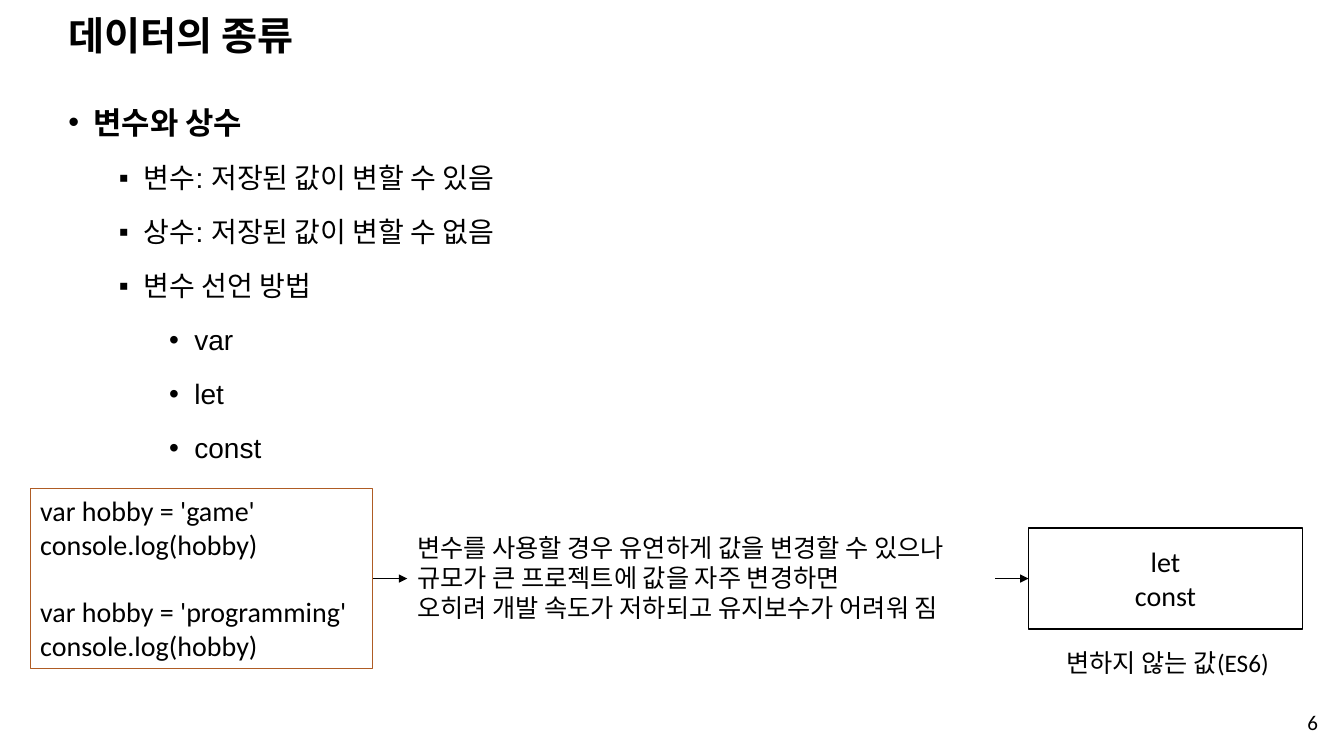
from dataclasses import dataclass
from lxml.etree import SubElement
from pptx import Presentation
from pptx.dml.color import RGBColor
from pptx.enum.shapes import MSO_CONNECTOR, MSO_SHAPE
from pptx.enum.text import MSO_ANCHOR, MSO_AUTO_SIZE, PP_ALIGN
from pptx.oxml.ns import qn
from pptx.util import Inches, Pt


@dataclass(frozen=True)
class Theme:
    ink: RGBColor = RGBColor(0, 0, 0)
    rust: RGBColor = RGBColor(0xAF, 0x5C, 0x24)
    head: str = "Arial"
    text: str = "Calibri"
    title: int = 28
    topic: int = 22
    item: int = 20
    note: int = 18
    page: int = 15


THEME = Theme()
LEVELS = (
    ("•", THEME.topic, True, 10),
    ("▪", THEME.item, False, 5),
    ("•", THEME.item, False, 5),
)
TOPICS = (
    (0, "변수와 상수"),
    (1, "변수: 저장된 값이 변할 수 있음"),
    (1, "상수: 저장된 값이 변할 수 없음"),
    (1, "변수 선언 방법"),
    (2, "var"),
    (2, "let"),
    (2, "const"),
)
CODE = (
    "var hobby = 'game'",
    "console.log(hobby)",
    "var hobby = 'programming'",
    "console.log(hobby)",
)
REASON = (
    "변수를 사용할 경우 유연하게 값을 변경할 수 있으나",
    "규모가 큰 프로젝트에 값을 자주 변경하면",
    "오히려 개발 속도가 저하되고 유지보수가 어려워 짐",
)
MID = 5.74


def area(*box):
    return [Inches(n) for n in box]


def add_run(para, text, size, font=THEME.text, bold=False):
    run = para.add_run()
    run.text = text
    run.font.name = font
    run.font.size = Pt(size)
    run.font.bold = bold
    run.font.color.rgb = THEME.ink


def add_lines(frame, lines, size, align=PP_ALIGN.LEFT):
    for num, line in enumerate(lines):
        para = frame.add_paragraph() if num else frame.paragraphs[0]
        para.alignment = align
        add_run(para, line, size)


def add_title(slide, text, box):
    title = slide.shapes.title
    title.left, title.top, title.width, title.height = area(*box)
    frame = title.text_frame
    frame.auto_size = MSO_AUTO_SIZE.NONE
    frame.vertical_anchor = MSO_ANCHOR.MIDDLE
    para = frame.paragraphs[0]
    para.alignment = PP_ALIGN.LEFT
    para.line_spacing = 0.9
    add_run(para, text, THEME.title, THEME.head, True)


def add_list(slide, items, box):
    frame = slide.shapes.add_textbox(*area(*box)).text_frame
    frame.word_wrap = True
    for num, (level, text) in enumerate(items):
        mark, size, bold, gap = LEVELS[level]
        para = frame.add_paragraph() if num else frame.paragraphs[0]
        para.level = level
        para.line_spacing = 1.4
        para.space_before = Pt(gap)
        props = para._p.get_or_add_pPr()
        props.set("marL", str(Inches(0.25 + 0.5 * level)))
        props.set("indent", str(Inches(-0.25)))
        SubElement(props, qn("a:buFont")).set("typeface", THEME.head)
        SubElement(props, qn("a:buChar")).set("char", mark)
        add_run(para, text, size, THEME.head, bold)


def add_note(slide, lines, box, size, align=PP_ALIGN.LEFT, anchor=MSO_ANCHOR.TOP):
    frame = slide.shapes.add_textbox(*area(*box)).text_frame
    frame.word_wrap = False
    frame.vertical_anchor = anchor
    add_lines(frame, lines, size, align)


def add_box(slide, lines, box, line, width, align, anchor):
    shape = slide.shapes.add_shape(MSO_SHAPE.RECTANGLE, *area(*box))
    shape.shadow.inherit = False
    shape.fill.background()
    shape.line.color.rgb = line
    shape.line.width = Pt(width)
    frame = shape.text_frame
    frame.word_wrap = True
    frame.vertical_anchor = anchor
    add_lines(frame, lines, THEME.item, align)
    return frame


def add_arrow(slide, start, end):
    link = slide.shapes.add_connector(
        MSO_CONNECTOR.STRAIGHT, *area(start, MID, end, MID))
    link.line.color.rgb = THEME.ink
    link.line.width = Pt(1)
    SubElement(link.line._get_or_add_ln(), qn("a:tailEnd")).set("type", "triangle")
    SubElement(link._element.spPr, qn("a:effectLst"))


def main():
    deck = Presentation()
    deck.slide_width, deck.slide_height = area(13.33, 7.5)
    slide = deck.slides.add_slide(deck.slide_layouts.get_by_name("Title Only"))
    add_title(slide, "데이터의 종류", (0.58, 0.18, 11.5, 0.38))
    add_list(slide, TOPICS, (0.58, 0.83, 12.14, 6.28))
    add_note(slide, ["6"], (9.42, 6.95, 3.75, 0.42), THEME.page,
             PP_ALIGN.RIGHT, MSO_ANCHOR.MIDDLE)
    code = add_box(slide, CODE, (0.3, 4.85, 3.4, 1.78), THEME.rust, 0.75,
                   PP_ALIGN.LEFT, MSO_ANCHOR.TOP)
    code.paragraphs[2].space_before = Pt(24)
    add_note(slide, REASON, (4.04, 5.23, 5.91, 1.01), THEME.note)
    add_box(slide, ["let", "const"], (10.2, 5.24, 2.72, 1), THEME.ink, 1,
            PP_ALIGN.CENTER, MSO_ANCHOR.MIDDLE)
    add_note(slide, ["변하지 않는 값(ES6)"], (10.48, 6.37, 2.35, 0.4), THEME.note)
    for start, end in ((3.7, 4.04), (9.87, 10.2)):
        add_arrow(slide, start, end)
    deck.save("out.pptx")


main()
